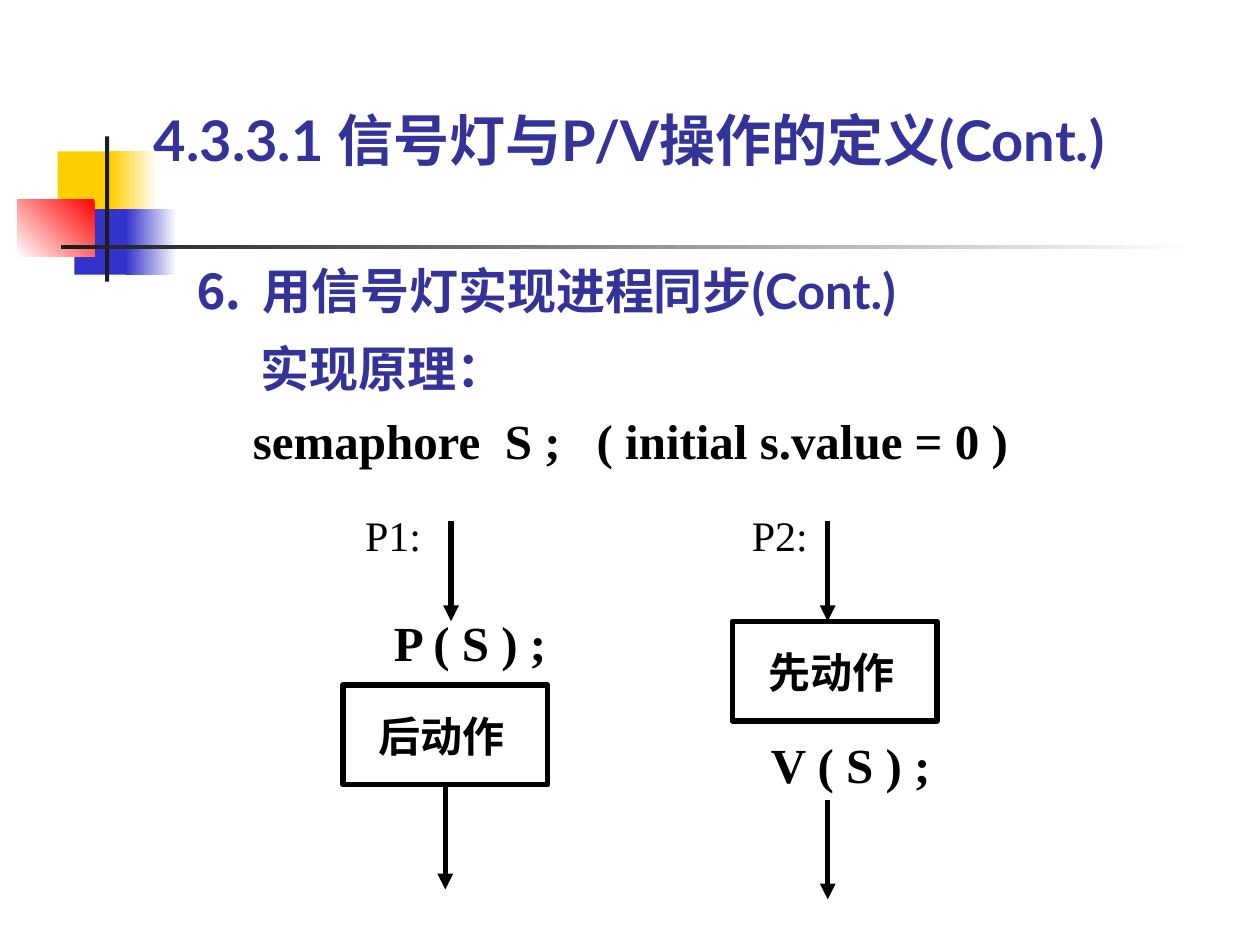
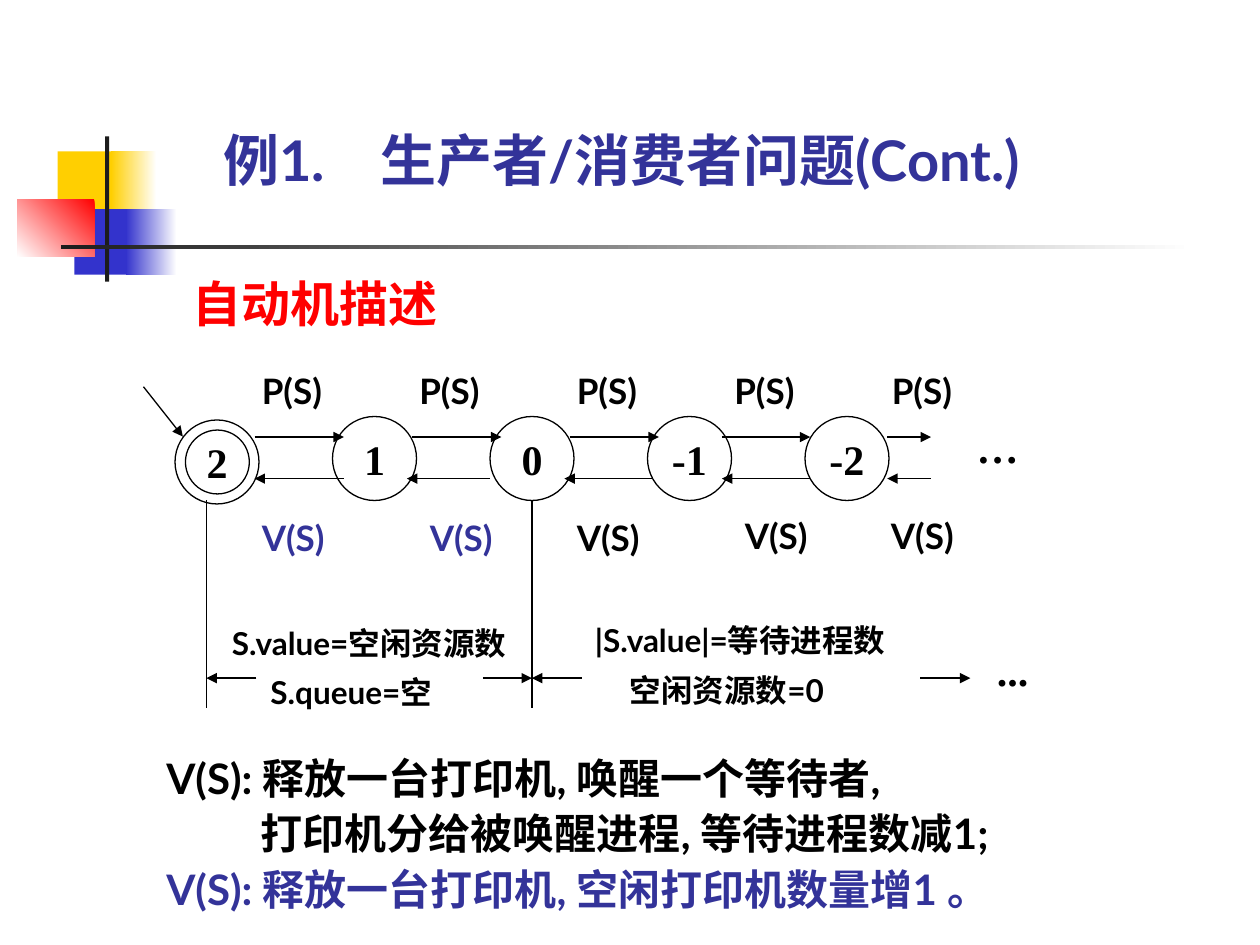
import pptx
import pptx.util
import pptx.dml.color
import pptx.enum.shapes
import pptx.enum.text
import pptx.oxml
import pptx.oxml.ns
import lxml.etree

Pt = pptx.util.Pt
RGB = pptx.dml.color.RGBColor.from_string
SHAPE = pptx.enum.shapes.MSO_SHAPE
ANCHOR = pptx.enum.text.MSO_ANCHOR
ALIGN = pptx.enum.text.PP_ALIGN
qn = pptx.oxml.ns.qn


class Theme:
    black, white, ink = "000000", "FFFFFF", "1C1C1C"
    navy, blue, red, yellow = "333399", "3333CC", "FF0000", "FFCF01"
    sans, serif, action = "Lato", "Times New Roman", "Comic Neue"
    title, heading, body, label, note = 32, 28, 24, 20, 18
    thick, thin = 3, 0.75
    inset = (7.2, 3.6, 7.2, 3.6)
    flush = (0, 0, 0, 0)


def write(shape, lines, size, color=Theme.black, font=Theme.sans, bold=True,
          inset=Theme.inset, anchor=ANCHOR.TOP, align=ALIGN.LEFT, wrap=True,
          spacing=None, before=0, indents=(), tabs=()):
    """Fill a shape with paragraphs; indents go by paragraph, tabs are in points."""
    tf = shape.text_frame
    tf.auto_size = pptx.enum.text.MSO_AUTO_SIZE.NONE
    tf.word_wrap = wrap
    tf.vertical_anchor = anchor
    tf.margin_left, tf.margin_top, tf.margin_right, tf.margin_bottom = map(Pt, inset)
    tf.text = "\n".join(lines)
    for i, p in enumerate(tf.paragraphs):
        p.alignment = align
        if spacing:
            p.line_spacing = spacing
        if before and i:
            p.space_before = Pt(before)
        pPr = p._p.get_or_add_pPr()
        if i < len(indents):
            pPr.set("marL", str(Pt(indents[i])))
        if tabs and "\t" in lines[i]:
            tab_list = lxml.etree.SubElement(pPr, qn("a:tabLst"))
            for pos in tabs:
                lxml.etree.SubElement(tab_list, qn("a:tab"), pos=str(Pt(pos)), algn="l")
        for r in p.runs:
            r.font.size = Pt(size)
            r.font.name = font
            r.font.bold = bold
            r.font.color.rgb = RGB(color)
    return tf


def draw_line(s, x1, y1, x2, y2, width=Theme.thin, arrow=True):
    c = s.shapes.add_connector(pptx.enum.shapes.MSO_CONNECTOR.STRAIGHT,
                               Pt(x1), Pt(y1), Pt(x2), Pt(y2))
    c.line.color.rgb = RGB(Theme.black)
    c.line.width = Pt(width)
    if arrow:
        lxml.etree.SubElement(c.line._get_or_add_ln(), qn("a:tailEnd"), type="triangle")
    lxml.etree.SubElement(c._element.spPr, qn("a:effectLst"))
    return c


prs = pptx.Presentation()
prs.slide_width, prs.slide_height = Pt(720), Pt(540)
layout = prs.slide_layouts[5]
for ph in list(layout.placeholders):
    if ph.placeholder_format.type != pptx.enum.shapes.PP_PLACEHOLDER.TITLE:
        ph.element.getparent().remove(ph.element)

# Slides and their titles: text, left, top, width, height, tab stops
titles = [
    ("4.3.3.1 信号灯与P/V操作的定义(Cont.)", 88, 60.5, 607, 38, ()),
    ("例1.\t生产者/消费者问题(Cont.)", 127.5, 33, 482, 77, (90,)),
]
slides = []
for text, x, y, w, h, tabs in titles:
    s = prs.slides.add_slide(layout)
    title = s.shapes.title
    title.left, title.top, title.width, title.height = Pt(x), Pt(y), Pt(w), Pt(h)
    write(title, [text], Theme.title, Theme.navy, inset=Theme.flush,
          anchor=ANCHOR.BOTTOM, tabs=tabs)
    slides.append(s)
sync, automaton = slides

# Shared ornament, placed on the layout: left, top, width, height, colours, angle
ornament = [
    (33, 86.5, 34.5, 37.5, [Theme.yellow], None),
    (63.5, 86.5, 26, 37.5, [Theme.white, Theme.yellow], 180),
    (42.5, 119.5, 33, 37.5, [Theme.blue], None),
    (72, 119.5, 29, 37.5, [Theme.white, Theme.blue], 180),
    (10, 113.75, 44, 33, [Theme.red, Theme.white], 225),
    (60, 78, 2.4, 83, [Theme.ink], None),
    (34.6, 140, 648, 2.4, [Theme.white, Theme.ink], 180),
]
for x, y, w, h, colors, angle in ornament:
    sp = sync.shapes.add_shape(SHAPE.RECTANGLE, Pt(x), Pt(y), Pt(w), Pt(h))
    sp.shadow.inherit = False
    sp.line.fill.background()
    if angle is None:
        sp.fill.solid()
        sp.fill.fore_color.rgb = RGB(colors[0])
    else:
        sp.fill.gradient()
        sp.fill.gradient_angle = angle
        for stop, color, position in zip(sp.fill.gradient_stops, colors, (0, 1)):
            stop.color.rgb = RGB(color)
            stop.position = position
    layout.shapes.element.append(sp.element)

# Slide 1: synchronising two processes
s = sync
sp = s.shapes.add_textbox(Pt(111), Pt(149), Pt(505), Pt(78))
write(sp, ["⒍\t用信号灯实现进程同步(Cont.)", "实现原理："], Theme.heading, Theme.navy,
      inset=Theme.flush, anchor=ANCHOR.MIDDLE, before=10.5, indents=(0, 38), tabs=(39,))
sp = s.shapes.add_textbox(Pt(144.5), Pt(234.5), Pt(448), Pt(34))
write(sp, ["semaphore\tS ;\t( initial s.value = 0 )"], Theme.heading, font=Theme.serif,
      inset=Theme.flush, tabs=(144, 196.5))

for text, x, y, w, h, size, bold in [
    ("P1:", 201.5, 287.5, 54, 36, Theme.body, False),
    ("P2:", 422.5, 287.5, 54, 36, Theme.body, False),
    ("P ( S ) ;", 218, 346.5, 119, 41, Theme.heading, True),
    ("V ( S ) ;", 433.5, 416, 124.5, 41, Theme.heading, True),
]:
    sp = s.shapes.add_textbox(Pt(x), Pt(y), Pt(w), Pt(h))
    write(sp, [text], size, font=Theme.serif, bold=bold)

actions = []
for text, x, y in [("后动作", 196, 391.5), ("先动作", 418.5, 355)]:
    sp = s.shapes.add_shape(SHAPE.RECTANGLE, Pt(x), Pt(y), Pt(117), Pt(57))
    sp.shadow.inherit = False
    sp.fill.background()
    sp.line.color.rgb = RGB(Theme.black)
    sp.line.width = Pt(Theme.thick)
    write(sp, [text], Theme.body, font=Theme.action, inset=(20.4, 14.4, 7.2, 14.4))
    actions.append(sp)

for x, y in [(257.75, 298), (473, 298), (473, 457)]:
    draw_line(s, x, y, x, y + 57, Theme.thick)
c = draw_line(s, 254.5, 448.5, 254.5, 508.3, Theme.thick)
c.begin_connect(actions[0], 2)

# Slide 2: the semaphore as an automaton
s = automaton
sp = s.shapes.add_textbox(Pt(110), Pt(156), Pt(153.5), Pt(34))
write(sp, ["自动机描述"], Theme.heading, Theme.red, inset=Theme.flush, anchor=ANCHOR.BOTTOM)

step = 90
states = [(state, 100 + step * i, 238 if i else 240, 48)
          for i, state in enumerate(["2", "1", "0", "-1", "-2"])]
start_ring = ("", 106, 245.75, 36.5)
for state, x, y, d in states + [start_ring]:
    sp = s.shapes.add_shape(SHAPE.OVAL, Pt(x), Pt(y), Pt(d), Pt(d))
    sp.shadow.inherit = False
    sp.fill.background()
    sp.line.color.rgb = RGB(Theme.black)
    sp.line.width = Pt(Theme.thin)
    if state:
        write(sp, [state], Theme.body, font=Theme.serif, anchor=ANCHOR.MIDDLE,
              align=ALIGN.CENTER, wrap=False)

p_arrows = [(145.5, 196.5), (235.5, 286.5), (325.5, 376.5), (412.5, 463), (507, 532)]
v_arrows = [(196.5, 145.5), (280, 232.5), (373, 322.5), (463, 412.5), (532, 507)]
for y, arrows in [(249.75, p_arrows), (273.5, v_arrows)]:
    for x1, x2 in arrows:
        draw_line(s, x1, y, x2, y)
draw_line(s, 82, 221, 104.5, 249.5)

p_labels = [("P(S)", 142.5 + step * i, 207.5, Theme.black) for i in range(5)]
v_labels = [("V(S)", x, y, color) for x, y, color in [
    (142.5, 291.5, Theme.navy), (238.5, 291.5, Theme.navy), (322.5, 291.5, Theme.black),
    (418.5, 290.5, Theme.black), (502, 290.5, Theme.black)]]
for text, x, y, color in p_labels + v_labels:
    sp = s.shapes.add_textbox(Pt(x), Pt(y), Pt(60), Pt(31.5))
    write(sp, [text], Theme.label, color)

for text, x, y in [("…", 551, 237.5), ("...", 562.5, 364.5)]:
    sp = s.shapes.add_textbox(Pt(x), Pt(y), Pt(48), Pt(36))
    write(sp, [text], Theme.body, font=Theme.serif)

# Ranges of the semaphore value
range_y = 387.5
for x in (118, 304):
    draw_line(s, x, 286, x, 404.5, arrow=False)
for x1, x2 in [(146.5, 118), (276, 304), (332.5, 304), (526, 554.5)]:
    draw_line(s, x1, range_y, x2, range_y)
for lines, x, y, w, h, inset, indent in [
    (["S.value=空闲资源数", "S.queue=空"], 125.5, 357, 188.5, 53, Theme.inset, 22),
    (["|S.value|=等待进程数", "空闲资源数=0"], 340, 359, 199.5, 46, Theme.flush, 20),
]:
    sp = s.shapes.add_textbox(Pt(x), Pt(y), Pt(w), Pt(h))
    write(sp, lines, Theme.note, inset=inset, spacing=0.8, before=11.2, indents=(0, indent))

sp = s.shapes.add_textbox(Pt(88), Pt(423.5), Pt(595.5), Pt(102))
tf = write(sp, ["V(S): 释放一台打印机, 唤醒一个等待者,",
                "打印机分给被唤醒进程, 等待进程数减1;",
                "V(S): 释放一台打印机, 空闲打印机数量增1 。"],
           Theme.body, spacing=1.1, indents=(0, 54))
tf.paragraphs[2].runs[0].font.color.rgb = RGB(Theme.navy)

prs.save("out.pptx")
